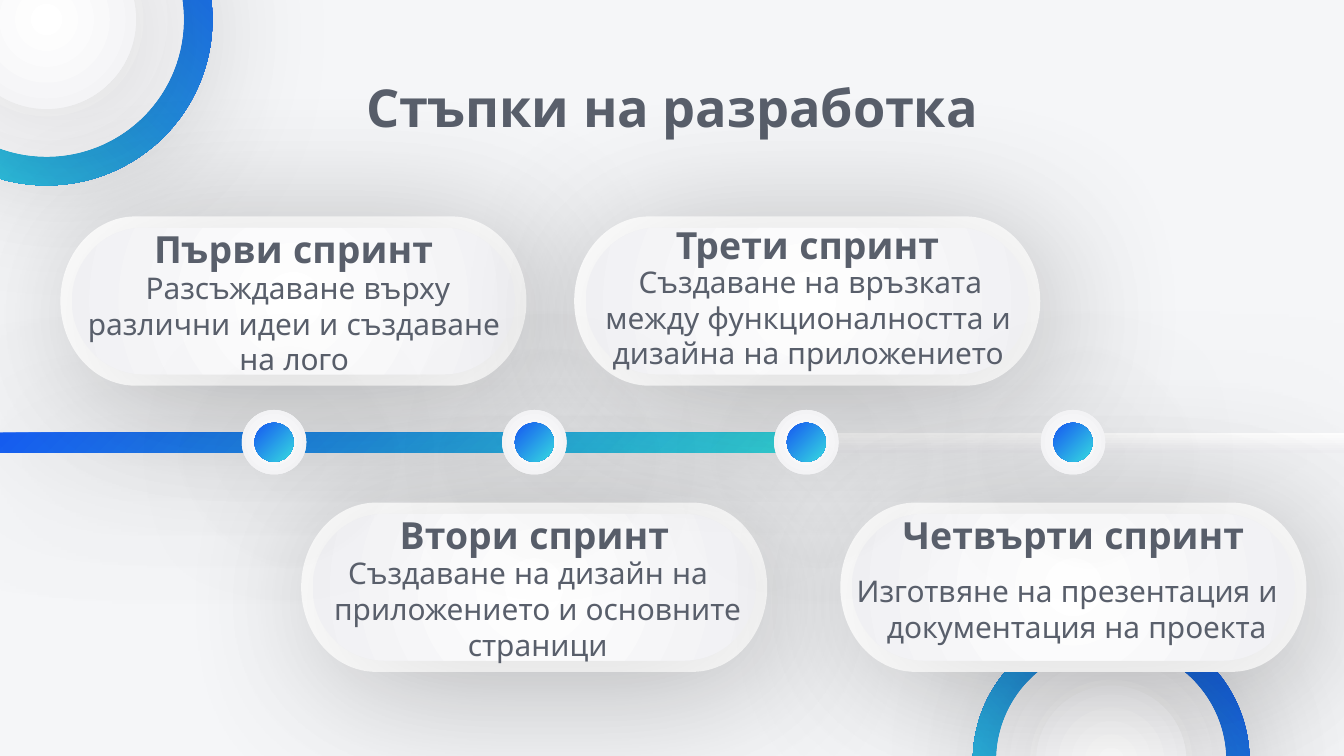
"""Build the slide of development sprints along a timeline."""
from typing import NamedTuple

from pptx import Presentation
from pptx.dml.color import RGBColor
from pptx.enum.shapes import MSO_SHAPE
from pptx.enum.text import MSO_ANCHOR, MSO_AUTO_SIZE, PP_ALIGN
from pptx.oxml import parse_xml
from pptx.oxml.ns import nsdecls, qn
from pptx.util import Cm, Pt

WHITE = RGBColor(0xFF, 0xFF, 0xFF)
PALE = RGBColor(0xF0, 0xF0, 0xF3)
BLUE = RGBColor(0x16, 0x58, 0xF1)
CYAN = RGBColor(0x36, 0xDB, 0xE0)
SLATE = RGBColor(0x59, 0x5F, 0x6B)
BACK = RGBColor(0xF5, 0xF6, 0xF8)

FRAME = {"word_wrap": True, "auto_size": MSO_AUTO_SIZE.NONE,
         "vertical_anchor": MSO_ANCHOR.MIDDLE,
         "margin_left": Cm(0.25), "margin_right": Cm(0.25),
         "margin_top": Cm(0.25), "margin_bottom": Cm(0.25)}
TITLE = {"name": "Noto Sans", "size": Pt(28), "bold": True}
HEAD = {"name": "Quicksand", "size": Pt(20), "bold": True}
BODY = {"name": "Quicksand", "size": Pt(16), "bold": False}

SHADE = f"""<a:outerShdw {nsdecls('a')} blurRad="{Pt(85)}" dist="{Pt(11.2)}"
 dir="2700000" algn="bl" rotWithShape="0"><a:srgbClr val="000000">
<a:alpha val="15000"/></a:srgbClr></a:outerShdw>"""
GLOW = f"""<a:path {nsdecls('a')} path="circle">
<a:fillToRect l="50000" t="50000" r="50000" b="50000"/></a:path>"""


class Box(NamedTuple):
    left: float
    top: float
    width: float
    height: float


class Paint(NamedTuple):
    start: RGBColor
    end: RGBColor
    angle: float | None = None


class Ring(NamedTuple):
    x: float
    y: float
    sizes: tuple[float, float, float]


class Sprint(NamedTuple):
    head: str
    body: str
    left: float
    top: float
    lift: float
    area: Box
    margin: float
    indent: float
    knot: float


LIGHT = Paint(WHITE, PALE)
VIVID = Paint(BLUE, CYAN, 315)
PLAIN = Paint(WHITE, WHITE)
PILL = (8.81, 3.2)
CORE = (8.38, 2.77)
AXIS = 8.36

RINGS = (Ring(0.88, 0.37, (6.27, 5.18, 3.38)),
         Ring(21, 14.38, (5.23, 4.34, 2.84)))
SPRINTS = (
    Sprint("Първи спринт", "Разсъждаване върху различни идеи и създаване на лого",
           1.14, 4.09, 0.08, Box(1.37, 5.13, 8.38, 1.96), 0, 0.15, 5.18),
    Sprint("Втори спринт", "Създаване на дизайн на приложението и основните страници",
           5.69, 9.5, 0.08, Box(5.69, 10.49, 8.59, 2.03), 0.36, -0.36, 10.1),
    Sprint("Трети спринт",
           "Създаване на връзката между функционалността и дизайна на приложението",
           10.85, 4.09, 0.02, Box(11.18, 4.98, 8.2, 2.03), 0, 0.08, 15.24),
    Sprint("Четвърти спринт", "Изготвяне на презентация и документация на проекта",
           15.88, 9.5, 0.08, Box(15.88, 10.49, 8.59, 2.03), 0.36, -0.36, 20.28),
)


def centre(x: float, y: float, width: float, height: float) -> Box:
    return Box(x - width / 2, y - height / 2, width, height)


def draw(slide, kind: MSO_SHAPE, box: Box, paint: Paint,
         turn: float = 0, shade: bool = True):
    shape = slide.shapes.add_shape(kind, *map(Cm, box))
    shape.rotation = turn
    fill = shape.fill
    if paint.start == paint.end:
        fill.solid()
        fill.fore_color.rgb = paint.start
    else:
        fill.gradient()
        for stop, tint in zip(fill.gradient_stops, paint):
            stop.color.rgb = tint
        if paint.angle is None:
            grad = shape._element.spPr.find(qn("a:gradFill"))
            grad.replace(grad.find(qn("a:lin")), parse_xml(GLOW))
        else:
            fill.gradient_angle = paint.angle
    shape.line.fill.background()
    shape.shadow.inherit = False
    if shade:
        shape._element.spPr.find(qn("a:effectLst")).append(parse_xml(SHADE))
    return shape


def write(shape, text: str, style: dict, margin: float = 0, indent: float = 0) -> None:
    frame = shape.text_frame
    for key, value in FRAME.items():
        setattr(frame, key, value)
    line = frame.paragraphs[0]
    line.alignment = PP_ALIGN.CENTER
    props = line._p.get_or_add_pPr()
    props.set("marL", str(Cm(margin)))
    props.set("indent", str(Cm(indent)))
    run = line.add_run()
    run.text = text
    for key, value in style.items():
        setattr(run.font, key, value)
    run.font.color.rgb = SLATE


def label(slide, box: Box, text: str, style: dict,
          margin: float = 0, indent: float = 0) -> None:
    write(slide.shapes.add_textbox(*map(Cm, box)), text, style, margin, indent)


def main() -> None:
    deck = Presentation()
    deck.slide_width, deck.slide_height = Cm(25.4), Cm(14.29)
    slide = deck.slides.add_slide(deck.slide_layouts[5])
    slide.background.fill.solid()
    slide.background.fill.fore_color.rgb = BACK

    for ring in RINGS:
        for size, paint in zip(ring.sizes, (VIVID, LIGHT, LIGHT)):
            draw(slide, MSO_SHAPE.OVAL, centre(ring.x, ring.y, size, size),
                 paint, 90, paint is LIGHT)

    draw(slide, MSO_SHAPE.RECTANGLE, Box(0, 8.18, 25.4, 0.38), Paint(WHITE, PALE, 270))
    bar = draw(slide, MSO_SHAPE.ROUNDED_RECTANGLE, Box(-0.66, 8.18, 15.47, 0.38), VIVID)
    bar.adjustments[0] = 0.5

    for step in SPRINTS:
        mid = step.left + PILL[0] / 2, step.top + PILL[1] / 2
        for size, paint in ((PILL, PLAIN), (CORE, LIGHT)):
            draw(slide, MSO_SHAPE.FLOWCHART_TERMINATOR, centre(*mid, *size), paint, 180)

    title = slide.shapes.title
    spot = dict(zip(Box._fields, map(Cm, (1.98, 1.5, 21.44, 1.04))))
    for key, value in spot.items():
        setattr(title, key, value)
    write(title, "Стъпки на разработка", TITLE)

    for step in SPRINTS:
        label(slide, step.area, step.body, BODY, step.margin, step.indent)
        label(slide, Box(step.left + 0.84, step.top + step.lift, 7.14, 1.04),
              step.head, HEAD)
        for size, paint in ((1.22, LIGHT), (0.74, VIVID)):
            draw(slide, MSO_SHAPE.OVAL, centre(step.knot, AXIS, size, size), paint)

    deck.save("out.pptx")


if __name__ == "__main__":
    main()
